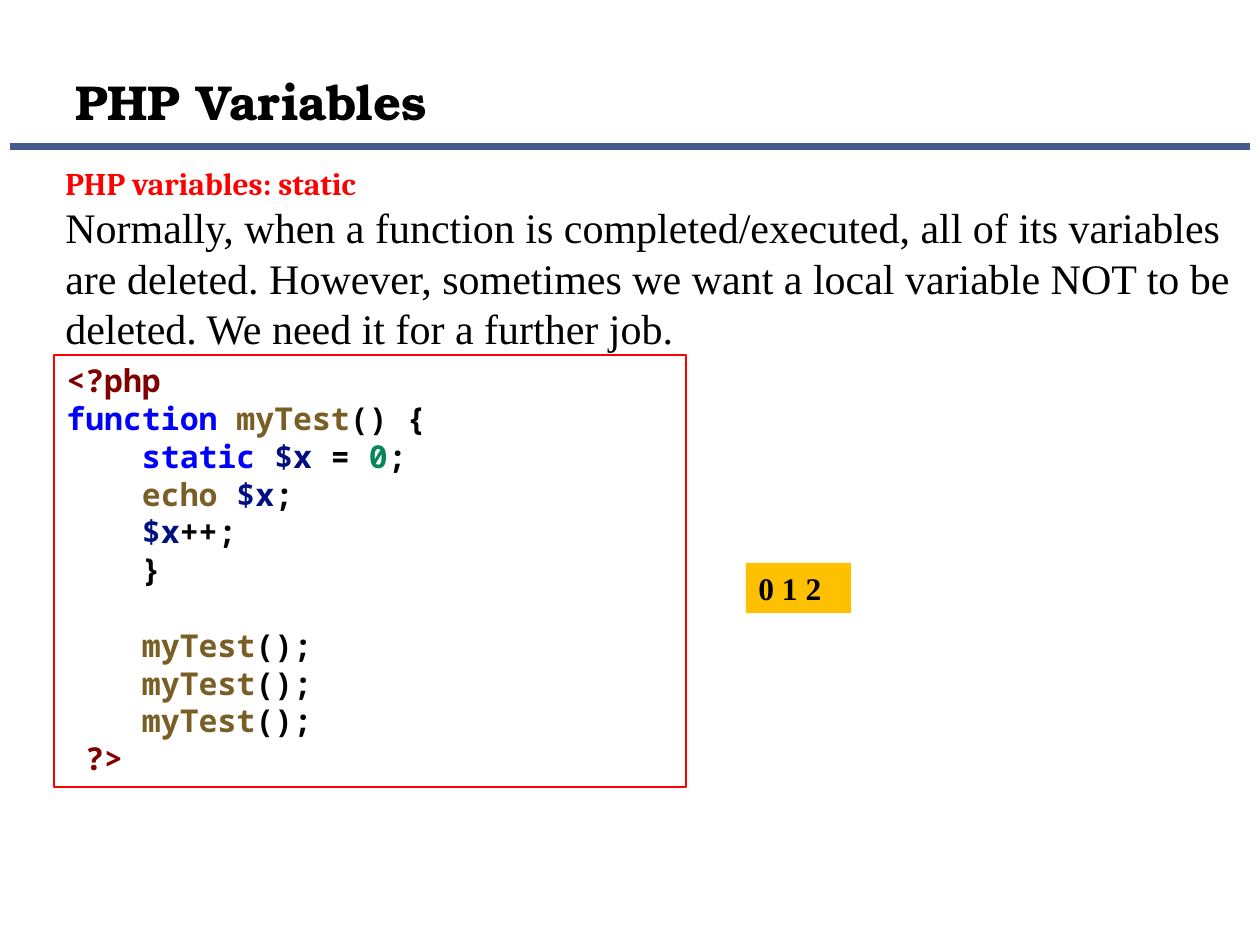
from lxml.etree import SubElement
from pptx import Presentation
from pptx.dml.color import RGBColor
from pptx.enum.shapes import MSO_CONNECTOR, MSO_SHAPE
from pptx.enum.text import MSO_ANCHOR, PP_ALIGN
from pptx.oxml.ns import qn
from pptx.util import Emu, Pt

EMU_PER_PX = 914400 / 126
BLACK, RED, BLUE = "000000", "FF0000", "0000FF"
BROWN, NAVY, GREEN, MAROON = "795E26", "001080", "098658", "800000"
SERIF, MONO = "Times New Roman", "Noto Sans Mono"

INDENT = ("    ", BLACK)
VARIABLE = ("$x", NAVY)
END = (";", BLACK)
CALL = [INDENT, ("myTest", BROWN), ("();", BLACK)]
CODE = [
    [("<?php", MAROON)],
    [("function ", BLUE), ("myTest", BROWN), ("() {", BLACK)],
    [INDENT, ("static ", BLUE), VARIABLE, (" = ", BLACK), ("0", GREEN), END],
    [INDENT, ("echo ", BROWN), VARIABLE, END],
    [INDENT, VARIABLE, ("++;", BLACK)],
    [("    }", BLACK)],
    [],
    CALL,
    CALL,
    CALL,
    [(" ", BLACK), ("?>", MAROON)],
]


def px(length):
    return Emu(round(length * EMU_PER_PX))


def color(value):
    return RGBColor.from_string(value)


def style(paragraph, font_name, size, bold, hue=BLACK):
    paragraph.alignment = PP_ALIGN.LEFT
    font = paragraph.font
    font.name, font.size, font.bold = font_name, Pt(size), bold
    font.color.rgb = color(hue)


def add_rule(slide, x1, x2, y):
    rule = slide.shapes.add_connector(
        MSO_CONNECTOR.STRAIGHT, px(x1), px(y), px(x2), px(y))
    rule.line.color.rgb = color("475A8D")
    rule.line.width = Pt(4)
    SubElement(rule._element.spPr, qn("a:effectLst"))


def add_text(slide, left, top, width, height, anchor=MSO_ANCHOR.TOP):
    frame = slide.shapes.add_textbox(
        px(left), px(top), px(width), px(height)).text_frame
    frame.word_wrap = True
    frame.vertical_anchor = anchor
    return frame


def add_panel(slide, left, top, width, height, fill=None, outline=None):
    """Add a rectangle and return its text frame."""
    panel = slide.shapes.add_shape(
        MSO_SHAPE.RECTANGLE, px(left), px(top), px(width), px(height))
    panel.shadow.inherit = False
    if fill:
        panel.fill.solid()
        panel.fill.fore_color.rgb = color(fill)
    else:
        panel.fill.background()
    if outline:
        panel.line.color.rgb = color(outline)
        panel.line.width = Pt(0.75)
    else:
        panel.line.fill.background()
    panel.text_frame.word_wrap = True
    panel.text_frame.vertical_anchor = MSO_ANCHOR.TOP
    return panel.text_frame


def write_code(frame, lines):
    for number, tokens in enumerate(lines):
        paragraph = frame.add_paragraph() if number else frame.paragraphs[0]
        style(paragraph, MONO, 18, True)
        paragraph.line_spacing = Pt(21.6)
        for text, hue in tokens:
            run = paragraph.add_run()
            run.text = text
            run.font.color.rgb = color(hue)


def main():
    presentation = Presentation()
    presentation.slide_width, presentation.slide_height = px(1260), px(945)
    slide = presentation.slides.add_slide(presentation.slide_layouts[6])

    add_rule(slide, 10, 1250, 147)

    title = add_text(slide, 63, 0, 1070, 137, MSO_ANCHOR.BOTTOM)
    title.text = "PHP Variables"
    style(title.paragraphs[0], "TeX Gyre Bonum", 28, True)

    explanation = add_text(slide, 53, 158, 1207, 242)
    explanation.text = (
        "PHP variables: static\n"
        "Normally, when a function is completed/executed, all of its variables "
        "are deleted. However, sometimes we want a local variable NOT to be "
        "deleted. We need it for a further job.")
    heading, body = explanation.paragraphs
    style(heading, "Cambria", 18, True, RED)
    style(body, SERIF, 24, False)

    write_code(add_panel(slide, 54, 355, 632, 432, outline=RED), CODE)

    output = add_panel(slide, 746, 563, 105, 50, fill="FFC000")
    output.text = "0 1 2"
    style(output.paragraphs[0], SERIF, 18, True)

    presentation.save("out.pptx")


if __name__ == "__main__":
    main()
